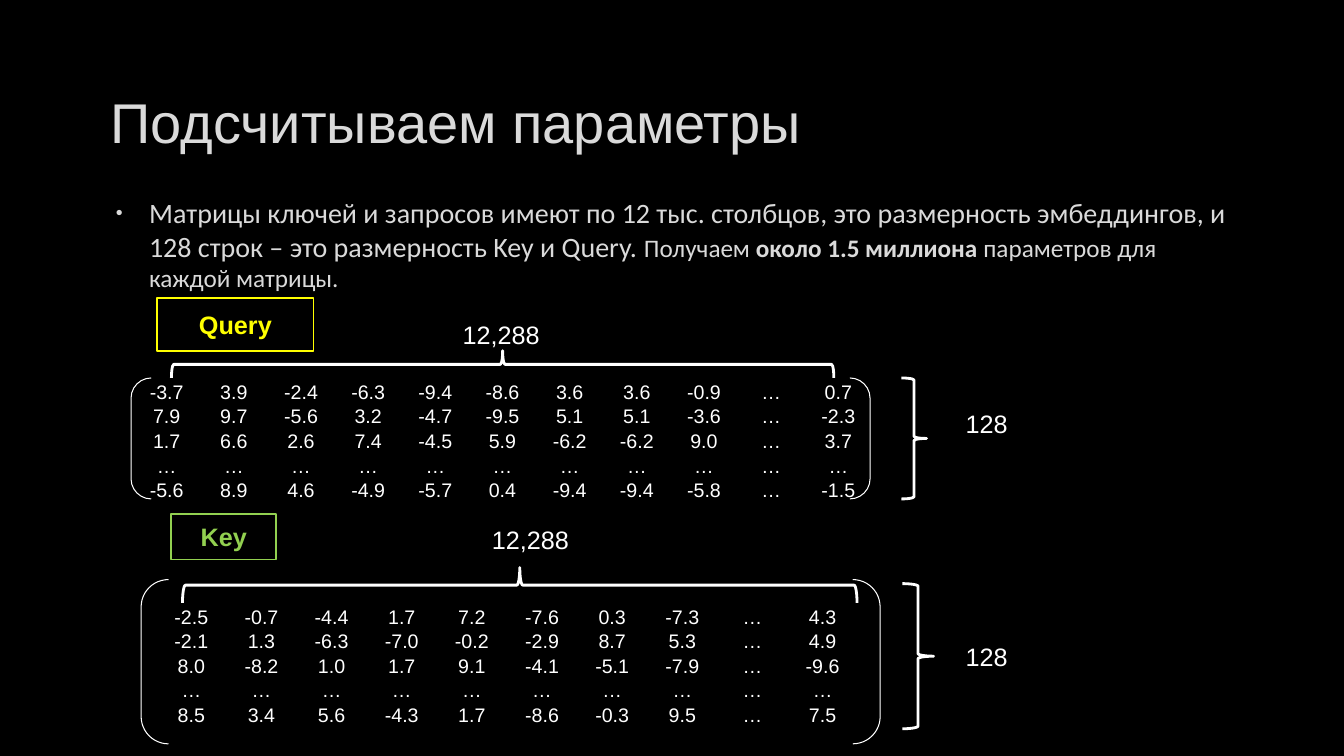
from dataclasses import dataclass

from lxml.etree import SubElement
from pptx import Presentation
from pptx.dml.color import RGBColor
from pptx.enum.shapes import MSO_SHAPE as Shape
from pptx.enum.text import MSO_ANCHOR as Anchor, PP_ALIGN as Align
from pptx.oxml.ns import qn
from pptx.util import Inches, Pt


@dataclass(frozen=True)
class Theme:
    background: str = "000000"
    heading: str = "DADADA"
    ink: str = "FFFFFF"
    query: str = "FFFF00"
    key: str = "92D050"
    sans: str = "Arial"
    body_font: str = "Calibri"
    title_size: float = 40
    body_size: float = 20
    detail_size: float = 18
    label_size: float = 18
    number_size: float = 14
    thin: float = 0.75
    frame: float = 1.25
    brace: float = 2


THEME = Theme()

TITLE = "Подсчитываем параметры"
SUMMARY = [
    ("Матрицы ключей и запросов имеют по 12 тыс. столбцов, это размерность "
     "эмбеддингов, и 128 строк – это размерность Key и Query. ", THEME.body_size, False),
    ("Получаем ", THEME.detail_size, False),
    ("около 1.5 миллиона ", THEME.detail_size, True),
    ("параметров для каждой матрицы.", THEME.detail_size, False),
]
QUERY_VALUES = """
-3.7 3.9 -2.4 -6.3 -9.4 -8.6 3.6 3.6 -0.9 … 0.7
7.9 9.7 -5.6 3.2 -4.7 -9.5 5.1 5.1 -3.6 … -2.3
1.7 6.6 2.6 7.4 -4.5 5.9 -6.2 -6.2 9.0 … 3.7
… … … … … … … … … … …
-5.6 8.9 4.6 -4.9 -5.7 0.4 -9.4 -9.4 -5.8 … -1.5
"""
KEY_VALUES = """
-2.5 -0.7 -4.4 1.7 7.2 -7.6 0.3 -7.3 … 4.3
-2.1 1.3 -6.3 -7.0 -0.2 -2.9 8.7 5.3 … 4.9
8.0 -8.2 1.0 1.7 9.1 -4.1 -5.1 -7.9 … -9.6
… … … … … … … … … …
8.5 3.4 5.6 -4.3 1.7 -8.6 -0.3 9.5 … 7.5
"""


def inches(box):
    return [Inches(length) for length in box]


def style(font, size, color, name=THEME.sans, bold=False):
    font.name = name
    font.size = Pt(size)
    font.bold = bold
    font.color.rgb = RGBColor.from_string(color)


def add_text(slide, box, text, size, color, anchor=Anchor.TOP):
    frame = slide.shapes.add_textbox(*inches(box)).text_frame
    frame.word_wrap = True
    frame.vertical_anchor = anchor
    frame.text = text
    style(frame.paragraphs[0].runs[0].font, size, color)


def add_summary(slide, box):
    frame = slide.shapes.add_textbox(*inches(box)).text_frame
    frame.word_wrap = True
    paragraph = frame.paragraphs[0]
    paragraph.space_after = Pt(6)
    properties = paragraph._p.get_or_add_pPr()
    properties.set("marL", str(Inches(0.38)))
    properties.set("indent", str(Inches(-0.33)))
    bullet_color = SubElement(properties, qn("a:buClr"))
    SubElement(bullet_color, qn("a:srgbClr"), val=THEME.heading)
    SubElement(properties, qn("a:buSzPct"), val="70000")
    SubElement(properties, qn("a:buFont"), typeface=THEME.sans)
    SubElement(properties, qn("a:buChar"), char="•")
    for text, size, bold in SUMMARY:
        run = paragraph.add_run()
        run.text = text
        style(run.font, size, THEME.heading, THEME.body_font, bold)


def add_outline(slide, kind, box, color, width, rotation=0):
    """Add an unfilled preset shape."""
    outline = slide.shapes.add_shape(kind, *inches(box))
    outline.shadow.inherit = False
    outline.fill.background()
    outline.line.color.rgb = RGBColor.from_string(color)
    outline.line.width = Pt(width)
    outline.rotation = rotation
    return outline


def add_name_tag(slide, box, name, color):
    frame = add_outline(slide, Shape.RECTANGLE, box, color, THEME.frame).text_frame
    frame.vertical_anchor = Anchor.MIDDLE
    frame.text = name
    frame.paragraphs[0].alignment = Align.CENTER
    style(frame.paragraphs[0].runs[0].font, THEME.label_size, color, bold=True)


def add_numbers(slide, box, values):
    rows = [line.split() for line in values.strip().splitlines()]
    holder = slide.shapes.add_table(len(rows), len(rows[0]), *inches(box))
    table = holder.table
    table.first_row = table.horz_banding = False
    # "No Style, No Grid"
    style_id = next(holder.element.iter(qn("a:tableStyleId")))
    style_id.text = "{2D5ABB26-0587-4C30-8999-92F81FD0307C}"
    for r, row in enumerate(rows):
        for c, value in enumerate(row):
            cell = table.cell(r, c)
            cell.fill.background()
            cell.margin_left = cell.margin_right = cell.margin_top = Inches(0.01)
            cell.margin_bottom = 0
            cell.vertical_anchor = Anchor.BOTTOM
            cell.text = value
            paragraph = cell.text_frame.paragraphs[0]
            paragraph.alignment = Align.CENTER
            style(paragraph.runs[0].font, THEME.number_size, THEME.ink)


def add_matrix(slide, name, color, values, tag, numbers, brackets,
               top_brace, side_brace, width_label, height_label):
    """Add a named matrix with braces that show its two dimensions."""
    add_numbers(slide, numbers, values)
    add_outline(slide, Shape.DOUBLE_BRACKET, brackets, THEME.ink, THEME.thin)
    add_outline(slide, Shape.LEFT_BRACE, top_brace, THEME.ink, THEME.brace, 90)
    add_outline(slide, Shape.RIGHT_BRACE, side_brace, THEME.ink, THEME.brace)
    add_text(slide, width_label, "12,288", THEME.label_size, THEME.ink)
    add_text(slide, height_label, "128", THEME.label_size, THEME.ink)
    add_name_tag(slide, tag, name, color)


def main():
    deck = Presentation()
    deck.slide_width, deck.slide_height = Inches(13.33), Inches(7.5)
    slide = deck.slides.add_slide(deck.slide_layouts[6])
    slide.background.fill.solid()
    slide.background.fill.fore_color.rgb = RGBColor.from_string(THEME.background)

    add_text(slide, (1, 0.67, 11.32, 1.06), TITLE, THEME.title_size,
             THEME.heading, Anchor.MIDDLE)
    add_summary(slide, (1, 1.89, 11.32, 1.06))
    add_matrix(slide, "Query", THEME.query, QUERY_VALUES,
               tag=(1.56, 2.96, 1.55, 0.52),
               numbers=(1.32, 3.76, 7.33, 1.14),
               brackets=(1.3, 3.75, 7.33, 1.2),
               top_brace=(4.85, 0.33, 0.27, 6.57),
               side_brace=(8.94, 3.75, 0.25, 1.2),
               width_label=(4.49, 3.12, 1.18, 0.4),
               height_label=(9.48, 4, 1.26, 0.4))
    add_matrix(slide, "Key", THEME.key, KEY_VALUES,
               tag=(1.7, 5.1, 1.04, 0.45),
               numbers=(1.55, 5.99, 6.96, 1.2),
               brackets=(1.4, 5.75, 7.33, 1.63),
               top_brace=(4.98, 2.46, 0.35, 6.69),
               side_brace=(8.95, 5.79, 0.31, 1.44),
               width_label=(4.78, 5.15, 1.18, 0.4),
               height_label=(9.48, 6.31, 1.26, 0.4))
    deck.save("out.pptx")


if __name__ == "__main__":
    main()
